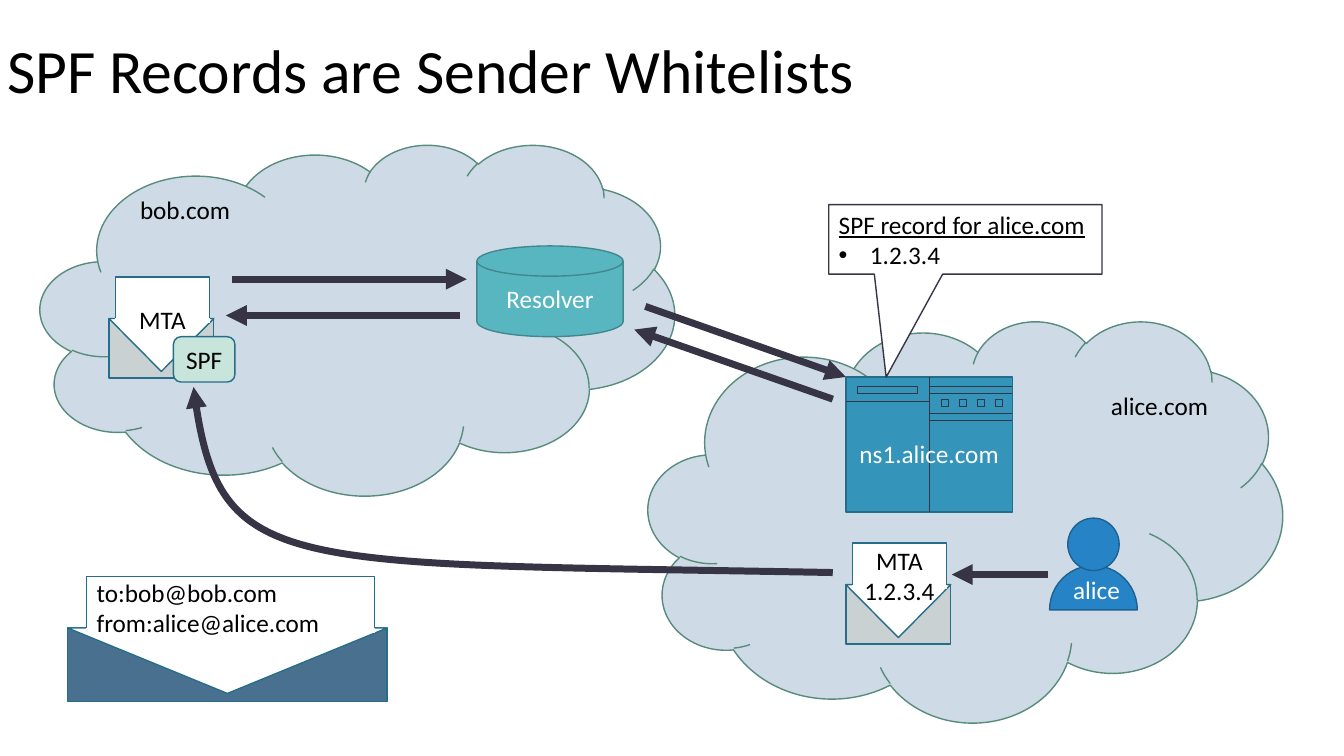
"""Build a slide showing how an SPF record whitelists a mail sender."""
from lxml import etree
from pptx import Presentation
from pptx.dml.color import RGBColor
from pptx.enum.shapes import MSO_CONNECTOR, MSO_SHAPE
from pptx.enum.text import MSO_ANCHOR, MSO_AUTO_SIZE, PP_ALIGN
from pptx.oxml.ns import qn
from pptx.util import Inches, Pt

RECT, TRI, CLOUD = MSO_SHAPE.RECTANGLE, MSO_SHAPE.ISOSCELES_TRIANGLE, MSO_SHAPE.CLOUD
ROUND, PIE, OVAL = MSO_SHAPE.ROUNDED_RECTANGLE, MSO_SHAPE.PIE, MSO_SHAPE.OVAL
CALL, DISK = MSO_SHAPE.RECTANGULAR_CALLOUT, MSO_SHAPE.FLOWCHART_MAGNETIC_DISK
LEFT, MID = PP_ALIGN.LEFT, PP_ALIGN.CENTER
CENTER, TOP = MSO_ANCHOR.MIDDLE, MSO_ANCHOR.TOP
STRAIGHT, GROW = MSO_CONNECTOR.STRAIGHT, MSO_AUTO_SIZE.SHAPE_TO_FIT_TEXT
ROWS = 75
HUES = {
    "white": "FFFFFF", "black": "000000", "ink": "373545", "edge": "266D8A",
    "navy": "4A7090", "grey": "CAD1D2", "sky": "CEDBE6", "moss": "578C7C",
    "mint": "C8E5DC", "blue": "2683C6", "deep": "1C6192", "steel": "3494BA",
    "teal": "58B6C0", "pine": "41878E",
}


def hue(name):
    """Return a named colour."""
    return RGBColor.from_string(HUES[name])


class Board:
    """Draw styled parts on a slide, in square cells of a 75-row grid."""

    def __init__(self, deck, font="Calibri", size=18):
        """Add a slide and hold its style."""
        self.cell = deck.slide_height / ROWS
        self.font, self.size = font, size
        self.slide = deck.slides.add_slide(deck.slide_layouts[5])
        self.home = self.slide.shapes

    def group(self):
        """Send the next parts to a new group."""
        self.home = self.slide.shapes.add_group_shape().shapes

    def loose(self):
        """Send the next parts to the slide itself."""
        self.home = self.slide.shapes

    def span(self, *cells):
        """Turn cells into lengths."""
        return [round(c * self.cell) for c in cells]

    def style(self, para, color, align, size=None):
        """Set the look of a paragraph."""
        para.alignment = align
        para.font.name = self.font
        para.font.size = Pt(size or self.size)
        para.font.color.rgb = hue(color)

    def words(self, shape, text, color, align=MID, anchor=CENTER, size=None):
        """Fill a shape with styled paragraphs."""
        frame = shape.text_frame
        frame.word_wrap = True
        frame.vertical_anchor = anchor
        frame.text = text
        for para in frame.paragraphs:
            self.style(para, color, align, size)

    def title(self, text, box):
        """Place and fill the title."""
        head = self.slide.shapes.title
        head.left, head.top, head.width, head.height = self.span(*box)
        self.words(head, text, "black", LEFT, size=44)
        head.text_frame.margin_left = self.span(0.7)[0]
        head.text_frame.paragraphs[0].line_spacing = 0.9

    def shape(self, kind, box, fill, line, width=1, turn=0, adj=()):
        """Add a preset shape."""
        part = self.home.add_shape(kind, *self.span(*box))
        part.shadow.inherit = False
        part.rotation = turn
        part.fill.solid()
        part.fill.fore_color.rgb = hue(fill)
        part.line.color.rgb = hue(line)
        part.line.width = Pt(width)
        for spot, value in enumerate(adj):
            part.adjustments[spot] = value
        return part

    def label(self, text, box, color="black", align=LEFT):
        """Add a text box."""
        part = self.home.add_textbox(*self.span(*box))
        self.words(part, text, color, align, TOP)
        part.text_frame.auto_size = GROW

    def tip(self, part):
        """Put an arrowhead on the end of a line."""
        line = part._element.spPr.find(qn("a:ln"))
        etree.SubElement(line, qn("a:tailEnd"), type="triangle")

    def line(self, *ends, width=0.5):
        """Add a straight line."""
        part = self.home.add_connector(STRAIGHT, *self.span(*ends))
        part.line.color.rgb = hue("ink")
        part.line.width = Pt(width)
        etree.SubElement(part._element.spPr, qn("a:effectLst"))
        return part

    def arrow(self, *ends):
        """Add a thick straight arrow."""
        self.tip(self.line(*ends, width=5))

    def curve(self, start, *bends):
        """Add a thick arrow along one cubic curve."""
        pen = self.home.build_freeform(*self.span(*start))
        pen.add_line_segments([self.span(*b) for b in bends], close=False)
        part = pen.convert_to_shape()
        part.shadow.inherit = False
        part.fill.background()
        part.line.color.rgb = hue("ink")
        part.line.width = Pt(5)
        self.tip(part)
        track = part._element.spPr.find(".//" + qn("a:path"))
        bend = etree.SubElement(track, qn("a:cubicBezTo"))
        for step in track.findall(qn("a:lnTo")):
            bend.append(step[0])
            track.remove(step)

    def mail(self, box, fill, text, drop, tall, align=MID):
        """Add an open envelope with its letter."""
        x, y, w, h = box
        left, wide = x + 0.06 * w, 0.9 * w
        self.group()
        self.shape(RECT, box, fill, "edge")
        self.shape(TRI, (x, y, w, 0.89 * h), "white", "edge", turn=180)
        self.shape(RECT, (left, y - 0.7 * h, wide, 0.75 * h), "white", "edge")
        self.shape(RECT, (left, y + 0.01 * h, wide, 0.05 * h), "white", "white")
        self.label(text, (left, y - drop, wide, tall), align=align)
        self.loose()

    def server(self, x, y, w, h, text):
        """Add a server cabinet."""
        mid, end = x + w / 2, x + w
        self.group()
        self.shape(RECT, (x, y, w, h), "steel", "edge")
        self.line(mid, y, mid, y + h)
        self.line(x, y + 2.4, mid, y + 2.4)
        for down in (0.9, 1.6, 3.6, 4.3):
            self.line(mid, y + down, end, y + down)
        self.shape(RECT, (x + 1.1, y + 0.9, 6, 0.7), "steel", "ink", 0.5)
        for lamp in range(4):
            spot = mid + 1.2 + 1.8 * lamp
            self.shape(RECT, (spot, y + 2.2, 0.7, 0.7), "steel", "ink", 0.5)
        self.label(text, (x, y + 5.6, w, 4), "white", MID)
        self.loose()

    def user(self, x, y, text):
        """Add a person icon with a name."""
        self.group()
        self.shape(PIE, (x, y + 4.7, 8.7, 8.8), "blue", "deep", turn=180, adj=(0, 108))
        self.shape(OVAL, (x + 1.8, y, 5.1, 5.2), "blue", "deep")
        self.label(text, (x - 0.5, y + 5.1, 10.3, 4), "white", MID)
        self.loose()

    def note(self, text, box, adj):
        """Add a callout with an underlined head and a bullet."""
        part = self.shape(CALL, box, "white", "ink", adj=adj)
        part.text_frame.text = text
        head, item = part.text_frame.paragraphs
        rule = item._p.get_or_add_pPr()
        dent = self.span(3.1)[0]
        rule.set("marL", str(dent))
        rule.set("indent", str(-dent))
        etree.SubElement(rule, qn("a:buFont"), typeface="Arial")
        etree.SubElement(rule, qn("a:buChar"), char="•")
        for para in (head, item):
            self.style(para, "black", LEFT)
        head.font.underline = True


def main():
    """Draw the slide and save it."""
    deck = Presentation()
    deck.slide_width, deck.slide_height = Inches(13.33), Inches(7.5)
    board = Board(deck)
    board.title("SPF Records are Sender Whitelists", (0, 0, 114.7, 14.5))
    board.mail((6.7, 62.3, 31.7, 7.3), "navy",
               "to:bob@bob.com\nfrom:alice@alice.com", 5.5, 7.1, LEFT)
    board.shape(CLOUD, (4, 14.3, 62.9, 34.8), "sky", "moss")
    board.arrow(23, 27.7, 46.3, 27.7)
    board.arrow(45.6, 31.3, 22.4, 31.3)
    board.shape(CLOUD, (64.3, 31.8, 62.9, 39.8), "sky", "moss")
    board.label("alice.com", (109.2, 38.2, 16.8, 4))
    board.label("bob.com", (12.9, 18.8, 16.8, 4))
    board.curve((82.6, 56.8), (28.9, 55.8), (21.5, 57.3), (19.2, 38.4))
    board.mail((10.8, 31.6, 10.4, 5.9), "grey", "MTA", 1.9, 3.3)
    badge = board.shape(ROUND, (17.2, 33.4, 6.1, 4.5), "mint", "edge")
    board.words(badge, "SPF", "black")
    board.user(104.1, 51.4, "alice")
    board.arrow(103.9, 57, 94.4, 57)
    board.server(83.9, 37.4, 16.5, 13.4, "ns1.alice.com")
    board.note("SPF record for alice.com\n1.2.3.4",
               (82.2, 20.3, 27.1, 6.9), (-0.29, 1.98))
    disk = board.shape(DISK, (47.3, 24.4, 14.5, 9), "teal", "pine")
    board.words(disk, "Resolver", "white")
    board.arrow(64, 30.4, 83.9, 37.4)
    board.arrow(82.6, 39.6, 62.9, 32.7)
    board.mail((83.9, 58, 10.4, 5.9), "grey", "MTA\n1.2.3.4", 4.4, 7.1)
    deck.save("out.pptx")


if __name__ == "__main__":
    main()
